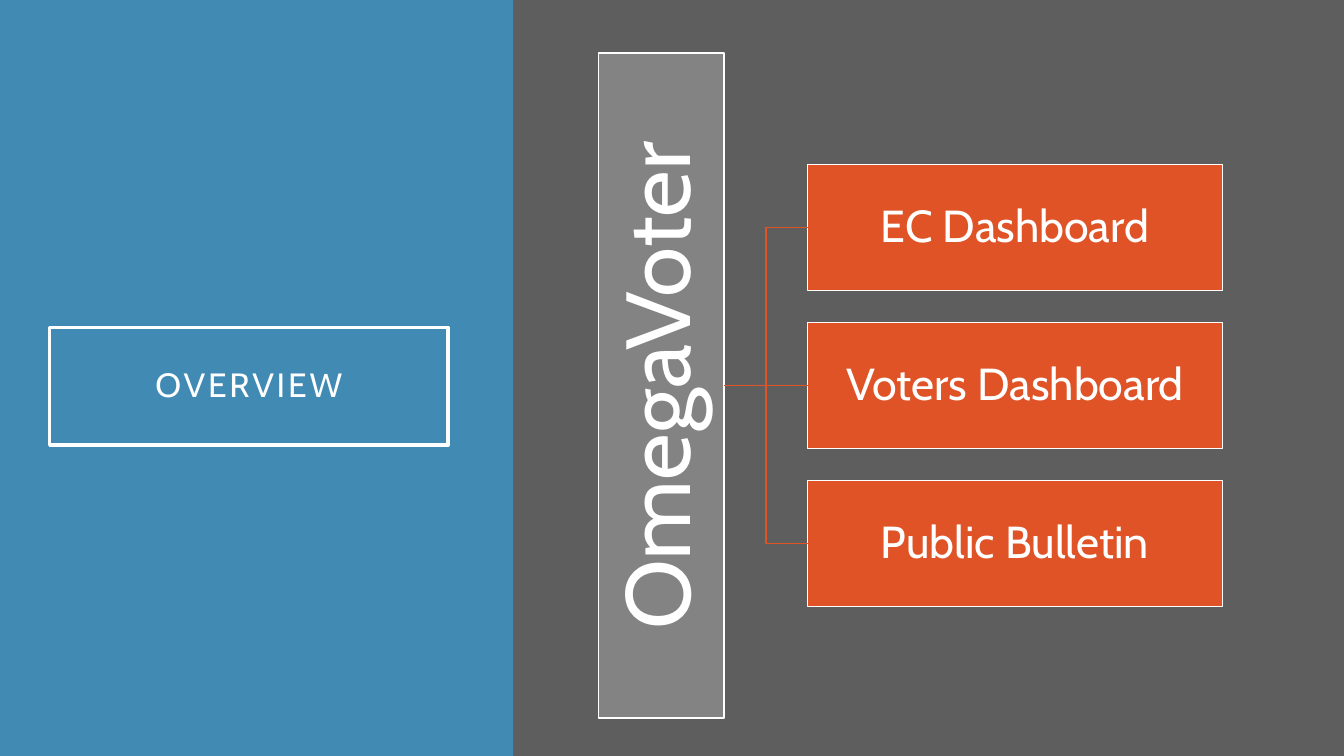
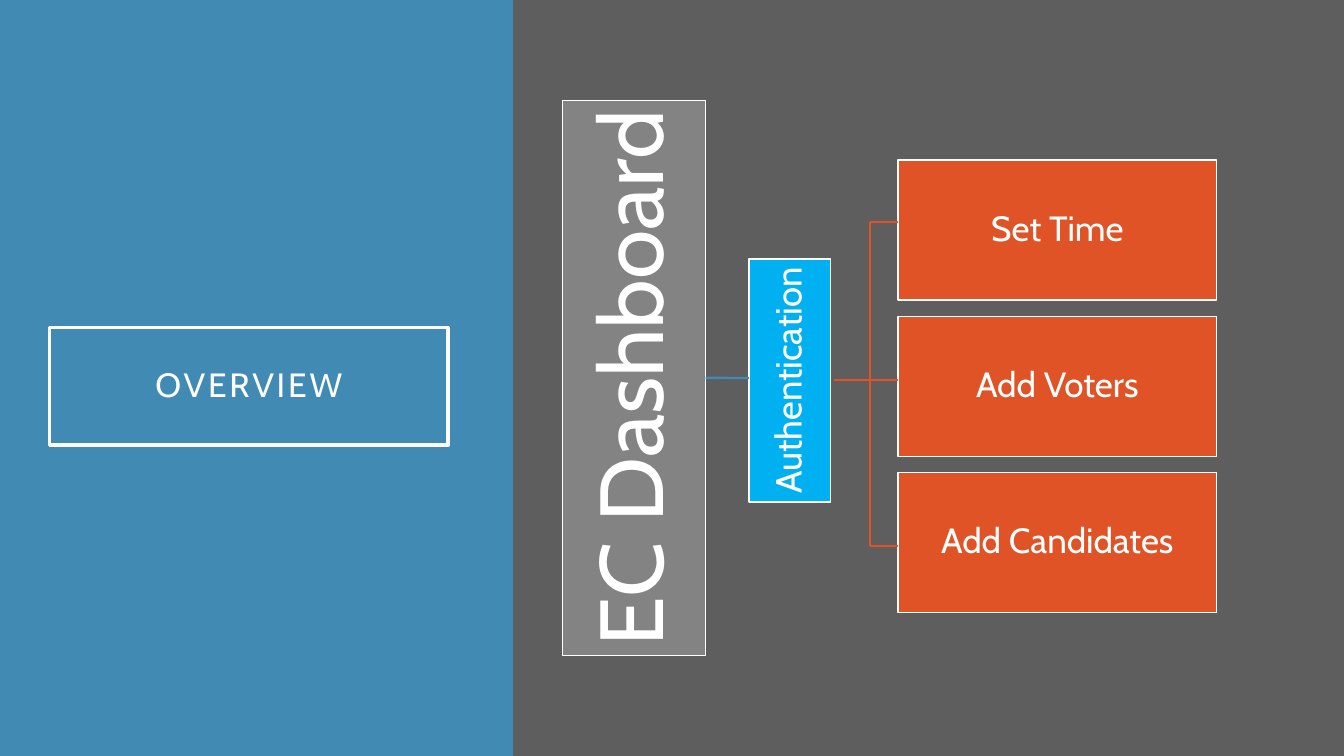
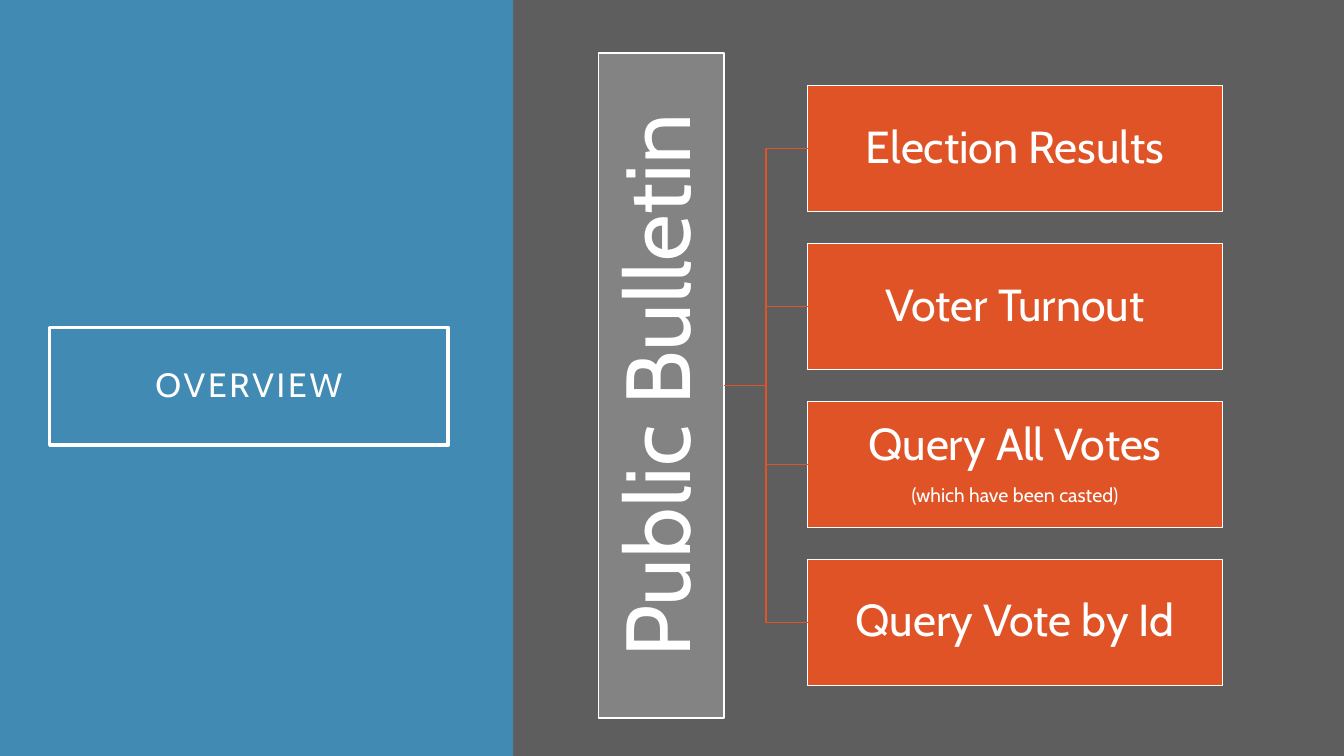
from pptx import Presentation
from pptx.dml.color import RGBColor
from pptx.enum.shapes import MSO_CONNECTOR as Conn, MSO_SHAPE as Shape
from pptx.enum.text import MSO_ANCHOR as Anchor, PP_ALIGN as Align
from pptx.oxml.ns import qn
from pptx.util import Pt

FONT = "Cabin"
WHITE, GRAY, SLATE = "FFFFFF", "838383", "5E5E5E"
BLUE, SKY, RUST = "418AB3", "00B0F0", "DF5327"
LEFT, RIGHT = 1, 3


def rgb(code):
    return RGBColor.from_string(code)


def write(shape, text, size=24, color=WHITE, inset=2, vert=False, track=0,
          after=0.35, sub=None):
    """Fill a shape with centred text; sub gives the size of later lines."""
    frame = shape.text_frame
    frame.word_wrap = True
    frame.vertical_anchor = Anchor.MIDDLE
    frame.margin_left = frame.margin_right = Pt(inset)
    frame.margin_top = frame.margin_bottom = Pt(inset)
    if vert:
        frame._txBody.bodyPr.set("vert", "vert270")
    for i, line in enumerate(text.split("\n")):
        para = frame.add_paragraph() if i else frame.paragraphs[0]
        points = sub if i and sub else size
        para.alignment = Align.CENTER
        para.line_spacing = 0.9
        para.space_after = Pt(round(after * points))
        run = para.add_run()
        run.text = line
        run.font.name = FONT
        run.font.size = Pt(points)
        run.font.color.rgb = rgb(color)
        if track:
            run.font._element.set("spc", str(track * 100))


def rect(slide, box, fill=None, line=None, width=1):
    shape = slide.shapes.add_shape(Shape.RECTANGLE, *map(Pt, box))
    shape.shadow.inherit = False
    if fill:
        shape.fill.solid()
        shape.fill.fore_color.rgb = rgb(fill)
    else:
        shape.fill.background()
    if line:
        shape.line.color.rgb = rgb(line)
        shape.line.width = Pt(width)
    else:
        shape.line.fill.background()
    return shape


def node(slide, box, text, fill, **form):
    shape = rect(slide, box, fill, WHITE)
    write(shape, text, **form)
    return shape


def link(slide, ends=(0, 0, 0, 0), kind=Conn.STRAIGHT, color=RUST, width=1.75):
    line = slide.shapes.add_connector(kind, *map(Pt, ends))
    line.line.color.rgb = rgb(color)
    line.line.width = Pt(width)
    props = line._element.spPr
    props.append(props.makeelement(qn("a:effectLst"), {}))
    return line


def stack(slide, box, labels, pitch, **form):
    """Place equal boxes downwards, centred on the middle of box's height."""
    x, mid, wide, high = box
    top = mid - ((len(labels) - 1) * pitch + high) / 2
    return [node(slide, (x, top + i * pitch, wide, high), label, RUST, **form)
            for i, label in enumerate(labels)]


def base(deck):
    """Add a slide with the blue side panel and framed title."""
    slide = deck.slides.add_slide(deck.slide_layouts[6])
    slide.background.fill.solid()
    slide.background.fill.fore_color.rgb = rgb(SLATE)
    rect(slide, (0, 0, 366.5, 540), BLUE)
    title = rect(slide, (35.5, 234, 284.5, 84), line=WHITE, width=2.5)
    write(title, "OVERVIEW", inset=14.4, track=2, after=0)
    return slide


def tree(slide, box, name, labels):
    """Draw a root bar joined to a column of boxes."""
    x, y, wide, high = box
    mid = y + high / 2
    root = node(slide, (x, y, 90, high), name, GRAY, size=65, vert=True)
    leaves = stack(slide, (x + 149.5, mid, wide - 149.5, 90), labels, 112.8,
                   size=32, sub=14)
    for i, leaf in enumerate(leaves):
        level = 2 * i + 1 == len(leaves)
        line = link(slide, kind=Conn.STRAIGHT if level else Conn.ELBOW, width=1)
        line.begin_connect(root, RIGHT)
        line.end_connect(leaf, LEFT)


def gated(slide, box, name, gate, labels):
    """Draw a root bar, a gate and a bus that feeds a column of boxes."""
    x, y, wide, high = box
    mid = y + high / 2
    root = node(slide, (x, y, 102, high), name, GRAY, size=64, vert=True)
    node(slide, (x + 133, mid - 85, 58.3, 173.5), gate, SKY, size=26, vert=True)
    stack(slide, (x + 239.5, mid + 6, wide - 239.5, 100), labels, 111.6, size=25)
    link(slide, (x + 102, mid, x + 133, mid), color=BLUE).begin_connect(root, RIGHT)
    bus, end = x + 219.5, x + 239.5
    stops = [mid - 111.5, mid + 1.5, mid + 120]
    link(slide, (x + 194, stops[1], bus, stops[1]))
    link(slide, (bus, stops[0], bus, stops[-1]))
    for stop in stops:
        link(slide, (bus, stop, end, stop))


def main():
    deck = Presentation()
    deck.slide_width, deck.slide_height = Pt(960), Pt(540)
    area = (427.3, 37.8, 446, 475.2)
    tree(base(deck), area, "OmegaVoter",
         ["EC Dashboard", "Voters Dashboard", "Public Bulletin"])
    gated(base(deck), (402, 71.6, 467, 396.8), "EC Dashboard", "Authentication",
          ["Set Time", "Add Voters", "Add Candidates"])
    tree(base(deck), area, "Public Bulletin",
         ["Election Results", "Voter Turnout",
          "Query All Votes\n(which have been casted)", "Query Vote by Id"])
    deck.save("out.pptx")


if __name__ == "__main__":
    main()
